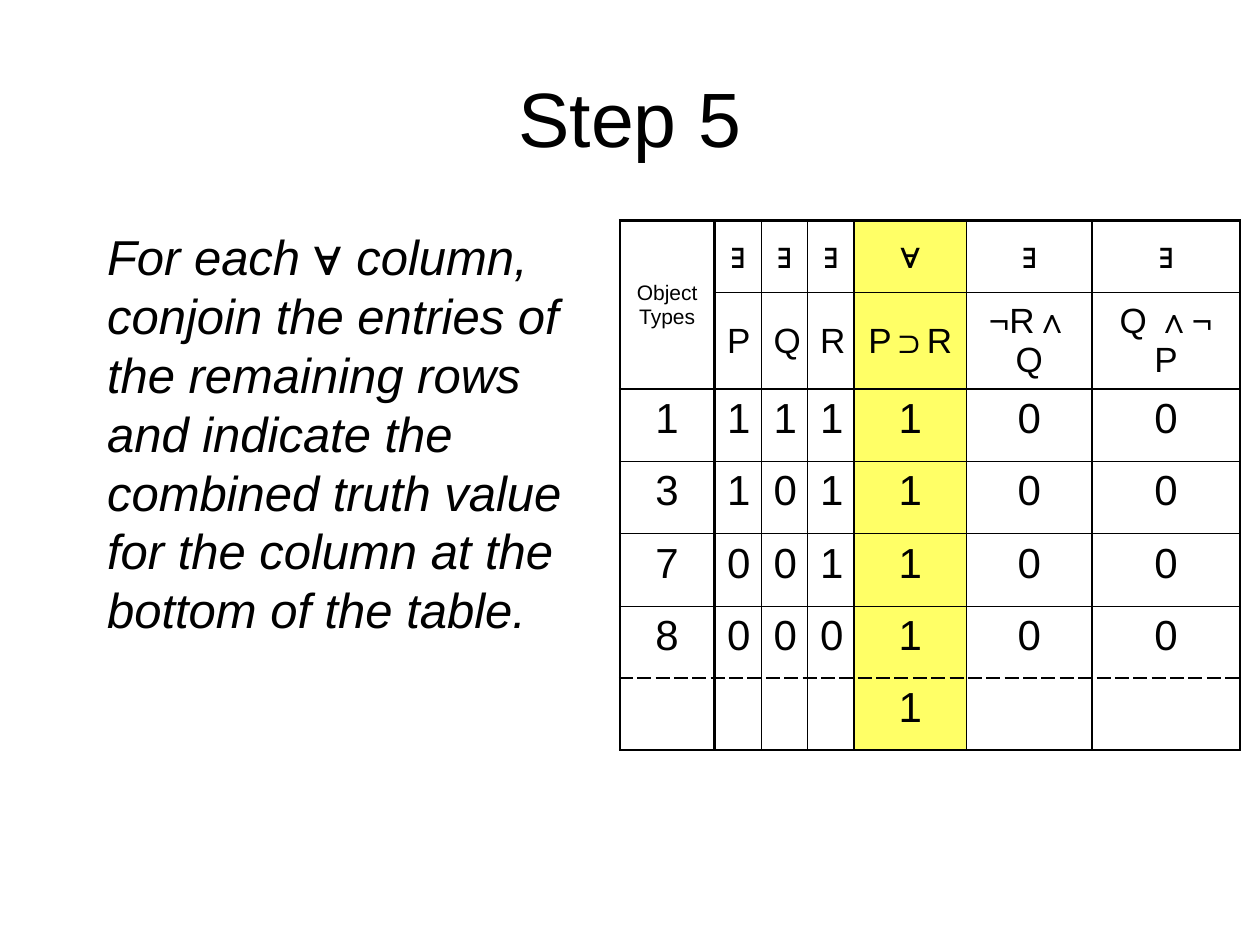
import pptx
import pptx.dml.color
import pptx.enum.text
import pptx.util
import lxml.etree
from pptx.util import Inches

BLACK = pptx.dml.color.RGBColor(0x00, 0x00, 0x00)
YELLOW = pptx.dml.color.RGBColor(0xFF, 0xFF, 0x66)
DRAWING = "{http://schemas.openxmlformats.org/drawingml/2006/main}"
CENTER = pptx.enum.text.PP_ALIGN.CENTER
LEFT = pptx.enum.text.PP_ALIGN.LEFT
MIDDLE = pptx.enum.text.MSO_ANCHOR.MIDDLE
TOP = pptx.enum.text.MSO_ANCHOR.TOP

THIN = (0.45, "solid")
THICK = (1.47, "solid")
DASHED = (1.47, "dash")
COLUMN_LINES = [THICK, THICK, THIN, THIN, THICK, THIN, THICK, THICK]
ROW_LINES = [THICK, THIN, THICK, THIN, THIN, THIN, DASHED, THICK]
COLUMN_WIDTHS = [0.75, 0.37, 0.37, 0.37, 0.89, 1, 1.17]
FORALL_COLUMN = 4
HEADER_ROWS = 2
TRUTH_TABLE = [
    ["Object Types", "∃", "∃", "∃", "∀", "∃", "∃"],
    ["", "P", "Q", "R", "P⊃R", "¬R∧Q", "Q ∧¬ P"],
    ["1", "1", "1", "1", "1", "0", "0"],
    ["3", "1", "0", "1", "1", "0", "0"],
    ["7", "0", "0", "1", "1", "0", "0"],
    ["8", "0", "0", "0", "1", "0", "0"],
    ["", "", "", "", "1", "", ""],
]
INSTRUCTION = [
    ("For each ", True),
    ("∀", False),
    (
        " column, conjoin the entries of the remaining rows and indicate "
        "the combined truth value for the column at the bottom of the table.",
        True,
    ),
]


def set_attributes(target, values):
    for name, value in values.items():
        setattr(target, name, value)


def add_text(paragraph, text, size, italic=False):
    run = paragraph.add_run()
    run.text = text
    set_attributes(run.font, {"name": "Arial", "size": pptx.util.Pt(size), "italic": italic})
    run.font.color.rgb = BLACK


def place_title(slide, box):
    title = slide.shapes.title
    set_attributes(title, dict(zip(("left", "top", "width", "height"), box)))
    title.text_frame.vertical_anchor = MIDDLE
    paragraph = title.text_frame.paragraphs[0]
    paragraph.alignment = CENTER
    add_text(paragraph, "Step 5", 44)


def place_instruction(slide, box):
    frame = slide.shapes.add_textbox(*box).text_frame
    set_attributes(
        frame, {"word_wrap": True, "vertical_anchor": TOP, "margin_left": Inches(0.68)}
    )
    paragraph = frame.paragraphs[0]
    set_attributes(paragraph, {"alignment": LEFT, "space_before": pptx.util.Pt(7)})
    for text, italic in INSTRUCTION:
        add_text(paragraph, text, 28, italic)


def draw_borders(cell, borders):
    properties = cell._tc.get_or_add_tcPr()
    for side, (width, dash) in zip("LRTB", borders):
        line = lxml.etree.SubElement(
            properties, f"{DRAWING}ln{side}", w=str(int(pptx.util.Pt(width)))
        )
        fill = lxml.etree.SubElement(line, f"{DRAWING}solidFill")
        lxml.etree.SubElement(fill, f"{DRAWING}srgbClr", val=str(BLACK))
        lxml.etree.SubElement(line, f"{DRAWING}prstDash", val=dash)


def format_cell(cell, row, column):
    in_header = row < HEADER_ROWS
    in_corner = in_header and column == 0
    top, bottom = (0, HEADER_ROWS) if in_corner else (row, row + 1)
    draw_borders(
        cell,
        [COLUMN_LINES[column], COLUMN_LINES[column + 1], ROW_LINES[top], ROW_LINES[bottom]],
    )
    if column == FORALL_COLUMN:
        cell.fill.solid()
        cell.fill.fore_color.rgb = YELLOW
    else:
        cell.fill.background()
    cell.vertical_anchor = MIDDLE if in_header else TOP
    text = TRUTH_TABLE[row][column]
    if text:
        size, space = (12, 3) if in_corner else (20, 5) if in_header else (24, 6)
        paragraph = cell.text_frame.paragraphs[0]
        set_attributes(paragraph, {"alignment": CENTER, "space_before": pptx.util.Pt(space)})
        add_text(paragraph, text, size)


def place_truth_table(slide, box):
    row_count, column_count = len(TRUTH_TABLE), len(COLUMN_WIDTHS)
    table = slide.shapes.add_table(row_count, column_count, *box).table
    set_attributes(table, {"first_row": False, "horz_banding": False})
    for column, width in zip(table.columns, COLUMN_WIDTHS):
        column.width = Inches(width)
    table.cell(0, 0).merge(table.cell(HEADER_ROWS - 1, 0))
    for row in range(row_count):
        for column in range(column_count):
            format_cell(table.cell(row, column), row, column)


def main():
    presentation = pptx.Presentation()
    set_attributes(presentation, {"slide_width": Inches(10), "slide_height": Inches(7.5)})
    slide = presentation.slides.add_slide(presentation.slide_layouts[5])
    place_title(slide, (Inches(0.5), Inches(0.3), Inches(9), Inches(1.25)))
    place_instruction(slide, (Inches(0.17), Inches(1.75), Inches(4.42), Inches(4.95)))
    place_truth_table(slide, (Inches(4.92), Inches(1.75), Inches(4.92), Inches(4.01)))
    presentation.save("out.pptx")


if __name__ == "__main__":
    main()
